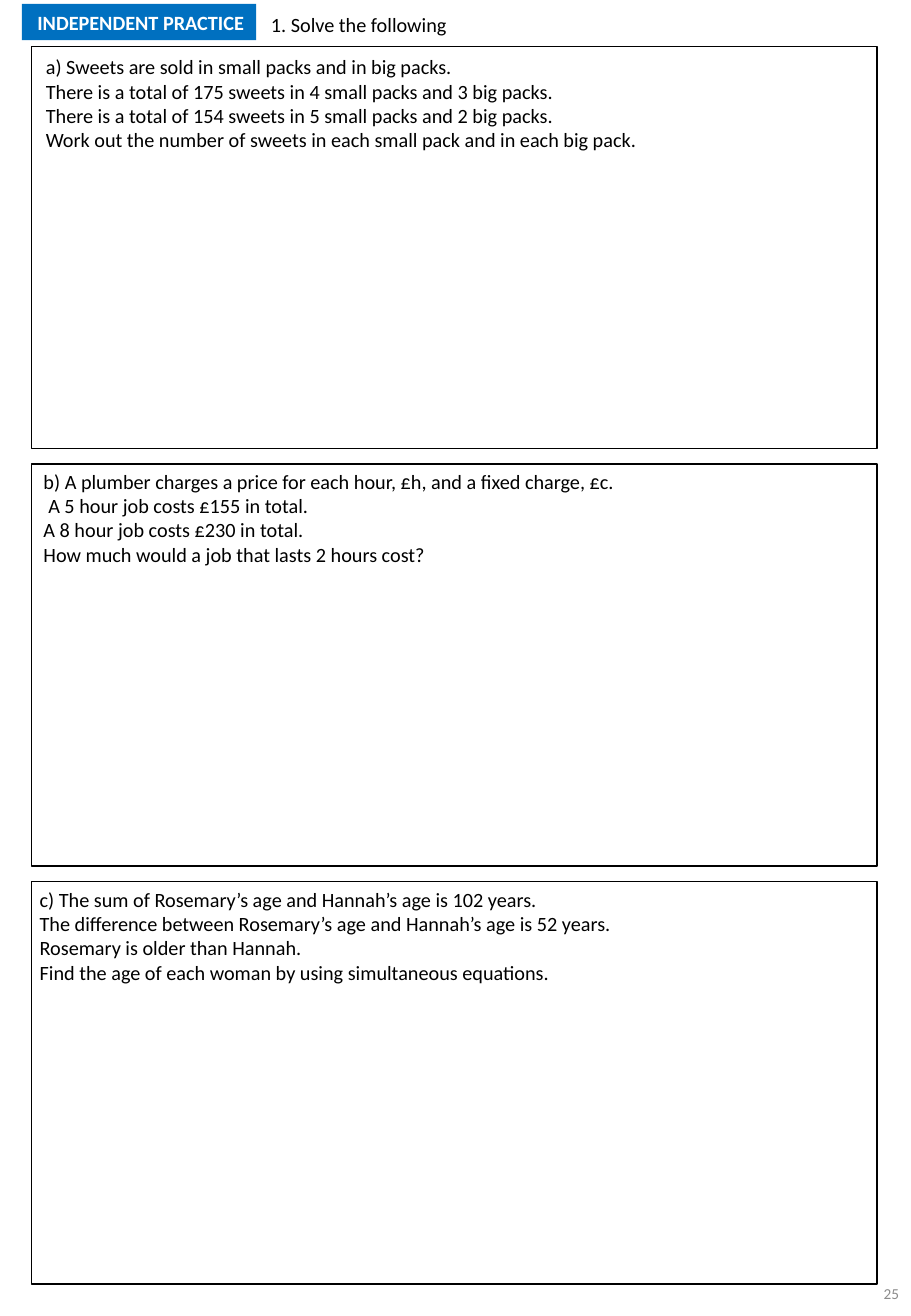
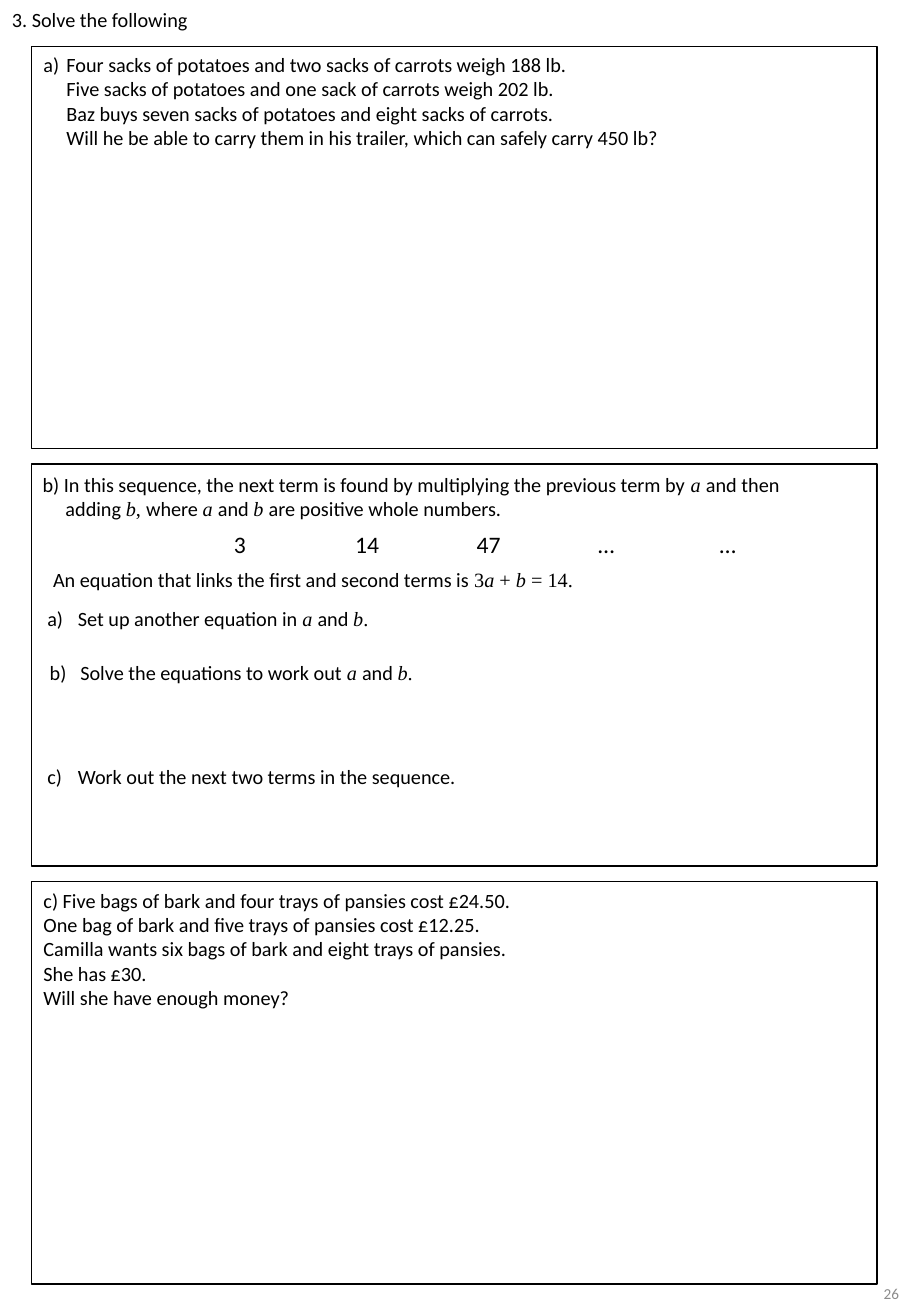
from pptx import Presentation
from pptx.dml.color import RGBColor
from pptx.enum import shapes, text
from pptx.oxml.ns import qn
from pptx.util import Cm, Pt
from lxml import etree

COLOURS = {"ink": "000000", "badge": "0070C0", "light": "FFFFFF", "number": "8C8C8C"}
BODY = ("Calibri", False)
ROMAN = ("Times New Roman", False)
VARIABLE = ("Times New Roman", True)
A, B = ("a ", VARIABLE), ("b", VARIABLE)
AND = ("and ", BODY)
STOP = (".", ROMAN)

FIRST_PAGE = 25
FRAME_LEFT, FRAME_TOP, FRAME_WIDTH, FRAME_HEIGHT = 0.66, 0.97, 17.68, 8.41
FRAME_PITCH, FRAME_COUNT = 8.73, 3
HANGING = 0.48
LIST_INDENT = 0.64
TAB_STEP = 2.54

PAGES = [
    {
        "badge": "INDEPENDENT PRACTICE",
        "boxes": [
            {"at": (1.09, 0.13, 12.83), "align": "CENTER", "lines": ["1. Solve the following"]},
            {"at": (0.71, 1.02, FRAME_WIDTH), "lines": [
                "a) Sweets are sold in small packs and in big packs.",
                "There is a total of 175 sweets in 4 small packs and 3 big packs.",
                "There is a total of 154 sweets in 5 small packs and 2 big packs.",
                "Work out the number of sweets in each small pack and in each big pack."]},
            {"at": (0.66, 9.68, FRAME_WIDTH), "indents": {1: (0.1, 0)}, "lines": [
                "b) A plumber charges a price for each hour, £h, and a fixed charge, £c.",
                "A 5 hour job costs £155 in total.",
                "A 8 hour job costs £230 in total.",
                "How much would a job that lasts 2 hours cost?"]},
            {"at": (0.58, 18.42, FRAME_WIDTH), "lines": [
                "c) The sum of Rosemary’s age and Hannah’s age is 102 years.",
                "The difference between Rosemary’s age and Hannah’s age is 52 years.",
                "Rosemary is older than Hannah.",
                "Find the age of each woman by using simultaneous equations."]},
        ],
    },
    {
        "boxes": [
            {"at": (0, 0.03, 12.83), "lines": ["3. Solve the following"]},
            {"at": (0.66, 0.97, FRAME_WIDTH),
             "indents": {0: (HANGING, -HANGING), 1: (HANGING, 0), 2: (HANGING, 0), 3: (HANGING, 0)},
             "lines": [
                "a)\tFour sacks of potatoes and two sacks of carrots weigh 188 lb.",
                "Five sacks of potatoes and one sack of carrots weigh 202 lb.",
                "Baz buys seven sacks of potatoes and eight sacks of carrots.",
                "Will he be able to carry them in his trailer, which can safely carry 450 lb?"]},
            {"at": (0.64, 9.75, 16.92), "indents": {0: (HANGING, -HANGING)}, "lines": [[
                ("b) In this sequence, the next term is found by multiplying the previous term by ", BODY),
                A, ("and then adding ", BODY), B, (", ", ROMAN), ("where ", BODY), A, AND,
                ("b ", VARIABLE), ("are positive whole numbers.", BODY)]]},
            {"at": (2.95, 10.95, 14.38), "align": "CENTER", "size": 14, "tabs": 4,
             "lines": ["3\t14\t47\t…\t…"]},
            {"at": (0.86, 11.73, 11.96), "lines": [[
                ("An equation that links the first and second terms is ", BODY),
                ("3", ROMAN), ("a", VARIABLE), (" + ", ROMAN), B, (" = 14.", ROMAN)]]},
            {"at": (0.74, 12.55, 9.5), "number": 1, "lines": [[
                ("Set up another equation in ", BODY), A, AND, B, STOP]]},
            {"at": (0.79, 13.67, 9.5), "number": 2, "lines": [[
                ("Solve the equations to work out ", BODY), A, AND, B, STOP]]},
            {"at": (0.74, 15.85, 9.5), "number": 3,
             "lines": ["Work out the next two terms in the sequence."]},
            {"at": (0.66, 18.44, FRAME_WIDTH), "lines": [
                "c) Five bags of bark and four trays of pansies cost £24.50.",
                "One bag of bark and five trays of pansies cost £12.25.",
                "Camilla wants six bags of bark and eight trays of pansies.",
                "She has £30.",
                "Will she have enough money?"]},
        ],
    },
]


def colour(name):
    return RGBColor.from_string(COLOURS[name])


def write_line(paragraph, line, size=12, ink="ink", bold=False, align="LEFT"):
    paragraph.alignment = getattr(text.PP_ALIGN, align)
    pieces = [(line, BODY)] if isinstance(line, str) else line
    for words, (face, italic) in pieces:
        run = paragraph.add_run()
        run.text = words
        run.font.name, run.font.italic = face, italic
        run.font.size, run.font.bold = Pt(size), bold
        run.font.color.rgb = colour(ink)


def set_indent(paragraph, margin, first):
    properties = paragraph._p.get_or_add_pPr()
    properties.set("marL", str(Cm(margin)))
    properties.set("indent", str(Cm(first)))
    return properties


def add_box(slide, box):
    left, top, width = box["at"]
    lines = box["lines"]
    height = 0.25 + 0.51 * len(lines)
    frame = slide.shapes.add_textbox(Cm(left), Cm(top), Cm(width), Cm(height)).text_frame
    frame.word_wrap = True
    for index, line in enumerate(lines):
        paragraph = frame.add_paragraph() if index else frame.paragraphs[0]
        if index in box.get("indents", {}):
            set_indent(paragraph, *box["indents"][index])
        if "number" in box:
            properties = set_indent(paragraph, LIST_INDENT, -LIST_INDENT)
            etree.SubElement(properties, qn("a:buAutoNum"),
                             type="alphaLcParenR", startAt=str(box["number"]))
        if "tabs" in box:
            stops = etree.SubElement(paragraph._p.get_or_add_pPr(), qn("a:tabLst"))
            for stop in range(1, box["tabs"] + 1):
                etree.SubElement(stops, qn("a:tab"), pos=str(Cm(TAB_STEP * stop)), algn="l")
        write_line(paragraph, line, box.get("size", 12), align=box.get("align", "LEFT"))


def add_rectangle(slide, left, top, width, height):
    shape = slide.shapes.add_shape(shapes.MSO_SHAPE.RECTANGLE,
                                   Cm(left), Cm(top), Cm(width), Cm(height))
    shape.shadow.inherit = False
    return shape


def add_answer_frames(slide):
    for row in range(FRAME_COUNT):
        shape = add_rectangle(slide, FRAME_LEFT, FRAME_TOP + row * FRAME_PITCH,
                              FRAME_WIDTH, FRAME_HEIGHT)
        shape.fill.background()
        shape.line.color.rgb = colour("ink")
        shape.line.width = Pt(1)


def add_badge(slide, label):
    shape = add_rectangle(slide, 0.46, 0.08, 4.9, 0.76)
    shape.fill.solid()
    shape.fill.fore_color.rgb = colour("badge")
    shape.line.fill.background()
    shape.text_frame.word_wrap = False
    shape.text_frame.vertical_anchor = text.MSO_ANCHOR.MIDDLE
    write_line(shape.text_frame.paragraphs[0], label, ink="light", bold=True, align="RIGHT")


def add_page_number(slide, number):
    frame = slide.shapes.add_textbox(Cm(14.76), Cm(26.31), Cm(4.29), Cm(1.47)).text_frame
    frame.word_wrap = True
    frame.vertical_anchor = text.MSO_ANCHOR.MIDDLE
    write_line(frame.paragraphs[0], str(number), size=9, ink="number", align="RIGHT")


def main():
    presentation = Presentation()
    presentation.slide_width, presentation.slide_height = Cm(19.05), Cm(27.51)
    for number, page in enumerate(PAGES, FIRST_PAGE):
        slide = presentation.slides.add_slide(presentation.slide_layouts[6])
        add_page_number(slide, number)
        add_answer_frames(slide)
        for box in page["boxes"]:
            add_box(slide, box)
        if "badge" in page:
            add_badge(slide, page["badge"])
    presentation.save("out.pptx")


if __name__ == "__main__":
    main()
